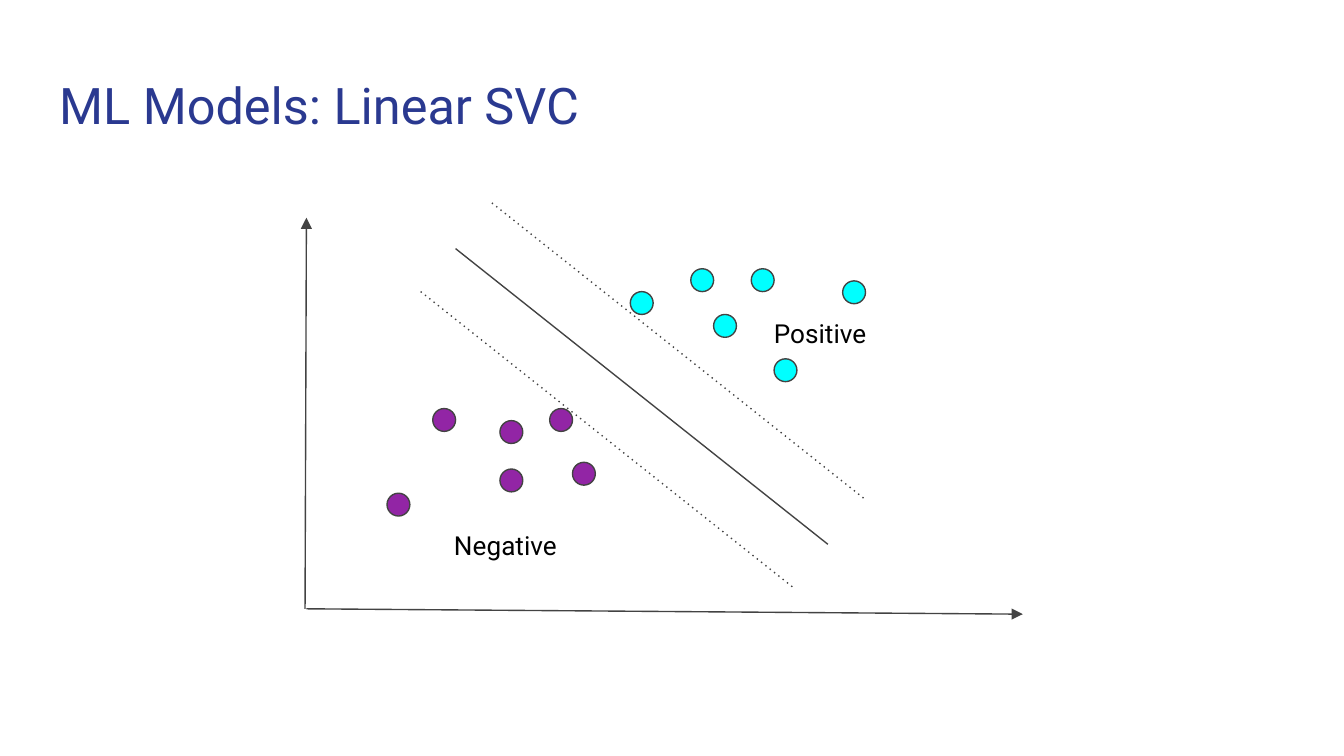
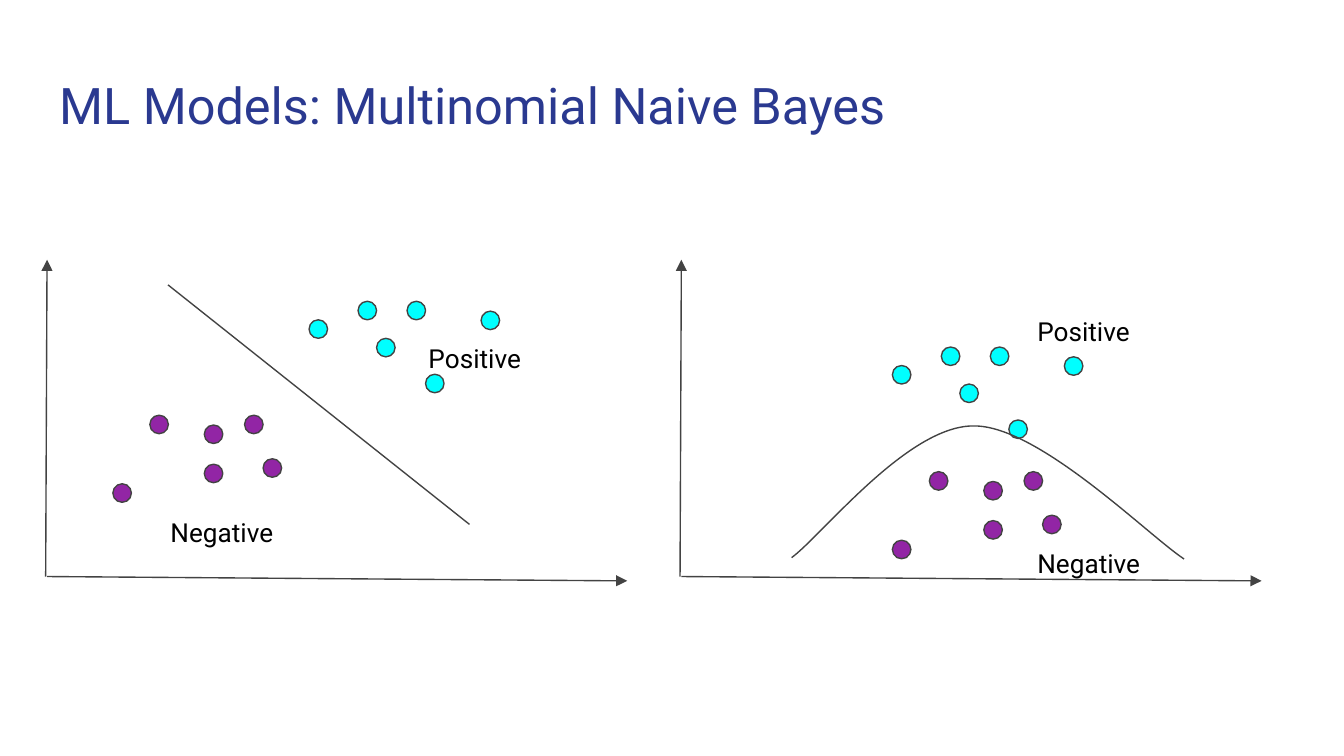
"""Builds two slides that sketch how linear classifiers split two classes."""
from lxml import etree
from pptx import Presentation, util as u
from pptx.dml import color
from pptx.enum import shapes, text
from pptx.oxml import ns

INK = {"title": "2A3990", "label": "000000", "line": "434343",
       "neg": "9225A5", "pos": "00FFFF"}
NEG = [(0, 0), (1.21, -0.63), (1.38, -0.23), (0.84, -0.18), (0.34, -0.63), (0.84, -0.54)]
POS = [(0, 0), (0.62, 0.17), (0.45, -0.17), (1.07, 0.5), (1.58, -0.08), (0.9, -0.17)]
SMALL = 0.81


def rgb(name):
    return color.RGBColor.from_string(INK[name])


def write(frame, words, size=14, ink="label", font="Roboto"):
    frame.word_wrap = True
    frame.auto_size = text.MSO_AUTO_SIZE.NONE
    frame.vertical_anchor = text.MSO_ANCHOR.TOP
    for side in ("left", "top", "right", "bottom"):
        setattr(frame, f"margin_{side}", u.Inches(0.1))
    para = frame.paragraphs[0]
    para.alignment = text.PP_ALIGN.LEFT
    run = para.add_run()
    run.text = words
    run.font.size = u.Pt(size)
    run.font.name = font
    run.font.color.rgb = rgb(ink)


def lengths(*nums):
    return [u.Inches(num) for num in nums]


class Deck:
    def __init__(self):
        self.prs = Presentation()
        self.prs.slide_width = u.Inches(10)
        self.prs.slide_height = u.Inches(10 * 9 / 16)

    def page(self, title):
        self.slide = self.prs.slides.add_slide(self.prs.slide_layouts[5])
        head = self.slide.shapes.title
        head.left, head.top, head.width, head.height = lengths(0.34, 0.45, 9.32, 0.66)
        write(head.text_frame, title, size=27, ink="title")
        self.pane = self.slide.shapes

    def group(self):
        self.pane = self.slide.shapes.add_group_shape().shapes

    def loose(self):
        self.pane = self.slide.shapes

    def stroke(self, shape):
        shape.line.color.rgb = rgb("line")
        shape.line.width = u.Pt(0.75)

    def line(self, x, y, wide, high, dash=None, arrow=False):
        link = self.pane.add_connector(shapes.MSO_CONNECTOR.STRAIGHT,
                                       *lengths(x, y, x + wide, y + high))
        self.stroke(link)
        props = link.element.spPr
        edge = props.get_or_add_ln()
        if dash:
            etree.SubElement(edge, ns.qn("a:prstDash"), val=dash)
        if arrow:
            etree.SubElement(edge, ns.qn("a:tailEnd"), type="triangle")
        etree.SubElement(props, ns.qn("a:effectLst"))

    def axes(self, x, y, scale=1):
        self.line(x, y, 0.01, -2.91 * scale, arrow=True)
        self.line(x + 0.01, y, 5.33 * scale, 0.04 * scale, arrow=True)

    def split(self, x, y, scale=1, dash=None):
        self.line(x, y, 2.77 * scale, 2.2 * scale, dash)

    def label(self, words, x, y):
        box = self.pane.add_textbox(*lengths(x, y, 1.04, 0.44))
        write(box.text_frame, words)

    def dots(self, spots, ink, x, y, scale=1):
        size = 0.17 * scale
        for right, down in spots:
            dot = self.pane.add_shape(
                shapes.MSO_SHAPE.FLOWCHART_CONNECTOR,
                *lengths(x + right * scale, y + down * scale, size, size))
            dot.shadow.inherit = False
            dot.fill.solid()
            dot.fill.fore_color.rgb = rgb(ink)
            self.stroke(dot)

    def curve(self, start, *knots):
        pen = self.pane.build_freeform(*lengths(*start))
        pen.add_line_segments([lengths(*knot) for knot in knots], close=False)
        arc = pen.convert_to_shape()
        arc.shadow.inherit = False
        arc.fill.background()
        self.stroke(arc)
        steps = list(arc.element.iter(ns.qn("a:lnTo")))
        for i in range(0, len(steps), 3):
            bend = etree.SubElement(steps[i].getparent(), ns.qn("a:cubicBezTo"))
            for step in steps[i:i + 3]:
                bend.append(step[0])
                step.getparent().remove(step)


def main():
    deck = Deck()

    deck.page("ML Models: Linear SVC")
    deck.group()
    deck.axes(2.27, 4.53)
    deck.label("Negative", 3.28, 3.84)
    deck.label("Positive", 5.66, 2.26)
    deck.split(3.39, 1.85)
    deck.split(3.13, 2.17, dash="dot")
    deck.split(3.66, 1.51, dash="dot")
    deck.dots(NEG, "neg", 2.88, 3.67)
    deck.dots(POS, "pos", 4.69, 2.17)

    deck.page("ML Models: Multinomial Naive Bayes")
    deck.group()
    deck.axes(0.34, 4.29, SMALL)
    deck.label("Negative", 1.17, 3.74)
    deck.label("Positive", 3.09, 2.45)
    deck.split(1.25, 2.12, SMALL)
    deck.dots(NEG, "neg", 0.84, 3.6, SMALL)
    deck.dots(POS, "pos", 2.3, 2.38, SMALL)

    deck.loose()
    deck.axes(5.06, 4.29, SMALL)
    deck.label("Negative", 7.62, 3.97)
    deck.label("Positive", 7.62, 2.25)
    deck.dots(NEG, "neg", 6.64, 4.02, SMALL)
    deck.dots(POS, "pos", 6.64, 2.72, SMALL)
    deck.curve((5.89, 4.15), (6.12, 3.98), (6.76, 3.16), (7.25, 3.17),
               (7.73, 3.17), (8.55, 3.99), (8.81, 4.16))

    deck.prs.save("out.pptx")


if __name__ == "__main__":
    main()
